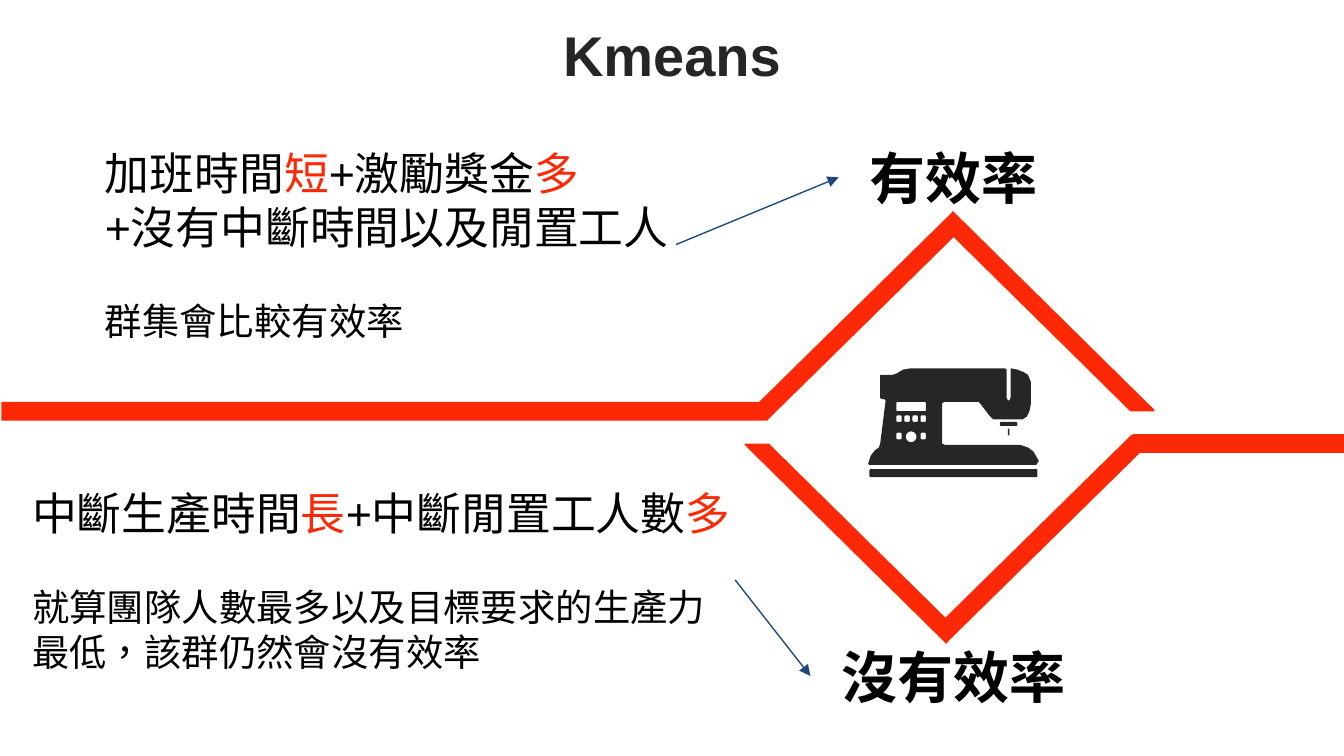
import math

from pptx import Presentation
from pptx import util as u
from pptx.dml.color import RGBColor
from pptx.enum import lang, shapes, text
from pptx.oxml.ns import qn
from lxml import etree

RED = RGBColor(0xFD, 0x29, 0x06)
DARK = RGBColor(0x26, 0x26, 0x26)
BLACK = RGBColor(0, 0, 0)
LABEL = RGBColor(1, 1, 1)
BLUE = RGBColor(0x1F, 0x49, 0x7D)

THICK = 0.14                # thickness of the red bars and arms
TURN_X, TURN_Y = 14.13, 6.36  # twice the centre of the diamond

# Right-hand arm of the upper half, cut level at its lower end
ARM = [(7.09, 1.57), (8.59, 3.05), (8.59, 3.06), (8.41, 3.06), (7, 1.67)]

# Sewing machine outline: head with needle slot, arm, bed and column
MACHINE = [
    (6.78, 2.74), (7.48, 2.74), (7.49, 2.75), (7.49, 2.96), (7.5, 2.98),
    (7.51, 2.98), (7.52, 2.96), (7.52, 2.74), (7.57, 2.75), (7.62, 2.77),
    (7.65, 2.79), (7.67, 2.84), (7.67, 3.01), (7.66, 3.06), (7.64, 3.1),
    (7.61, 3.12), (7.39, 3.12), (7.36, 3.09), (7.33, 3.05), (7.3, 3.01),
    (7.28, 2.99), (7.03, 2.99), (7.01, 3), (7.01, 3.3), (7.03, 3.31),
    (7.59, 3.31), (7.65, 3.33), (7.69, 3.36), (7.73, 3.43), (7.71, 3.46),
    (6.47, 3.46), (6.46, 3.45), (6.48, 3.39), (6.51, 3.35), (6.54, 3.33),
    (6.55, 3.3), (6.59, 2.98), (6.58, 2.97), (6.56, 2.97), (6.55, 2.96),
    (6.55, 2.79), (6.64, 2.79), (6.67, 2.78), (6.72, 2.75),
]


def inches(*values):
    return [u.Inches(v) for v in values]


def paint(sp, color):
    sp.shadow.inherit = False
    sp.fill.solid()
    sp.fill.fore_color.rgb = color
    sp.line.fill.background()


def add_bar(parent, x, y, w, h, rotation=0):
    sp = parent.shapes.add_shape(shapes.MSO_SHAPE.RECTANGLE, *inches(x, y, w, h))
    sp.rotation = rotation
    paint(sp, RED)


def add_outline(parent, contours, color):
    """Fill closed contours as one shape; inner contours become holes."""
    builder = None
    for contour in contours:
        points = [inches(*point) for point in contour]
        if builder is None:
            builder = parent.shapes.build_freeform(*points[0])
        else:
            builder.move_to(*points[0])
        builder.add_line_segments(points[1:], close=True)
    paint(builder.convert_to_shape(), color)


def rounded(x, y, w, h, r, steps=6):
    """Corner points of a rounded rectangle, clockwise from the right."""
    centres = [(x + w - r, y + h - r), (x + r, y + h - r),
               (x + r, y + r), (x + w - r, y + r)]
    points = []
    for corner, (cx, cy) in enumerate(centres):
        for step in range(steps + 1):
            angle = math.pi / 2 * (corner + step / steps)
            points.append((cx + r * math.cos(angle), cy + r * math.sin(angle)))
    return points


def add_half(s, bar_x, bar_w, turned):
    """Bar and two arms; the lower half is the upper one turned by 180°."""
    group = s.shapes.add_group_shape()
    bar_y, arm_x, arm_y, arm_h, arm_turn = 2.99, 6.31, 1.36, 2.02, 45.5
    arm = ARM
    if turned:
        bar_y = TURN_Y - bar_y - THICK
        arm_x, arm_y = TURN_X - arm_x - THICK, TURN_Y - arm_y - arm_h
        arm_turn += 180
        arm = [(TURN_X - x, TURN_Y - y) for x, y in ARM]
    add_bar(group, bar_x, bar_y, bar_w, THICK)
    add_bar(group, arm_x, arm_y, THICK, arm_h, arm_turn)
    add_outline(group, [arm], RED)


def add_machine(s):
    contours = [MACHINE]
    contours.append(rounded(6.47, 3.49, 1.25, 0.06, 0.01))   # base plate
    contours.append(rounded(7.44, 3.14, 0.13, 0.03, 0.01))   # presser foot
    contours.append(rounded(7.5, 3.19, 0.01, 0.05, 0))       # needle
    contours.append(rounded(6.67, 2.99, 0.22, 0.07, 0.01))   # display
    contours.append(rounded(6.74, 3.21, 0.08, 0.08, 0.04))   # dial
    keys = [(6.67 + 0.06 * i, 3.09) for i in range(4)] + [(6.67, 3.22), (6.85, 3.22)]
    contours += [rounded(x, y, 0.04, 0.05, 0.01) for x, y in keys]
    add_outline(s, contours, DARK)


def write(p, content, size=24, color=BLACK, bold=False, align=None,
          before=None, spacing=None,
          language=lang.MSO_LANGUAGE_ID.TRADITIONAL_CHINESE):
    """Write a paragraph; parts between bars are red."""
    p.alignment = align
    p.space_before = before
    p.line_spacing = spacing
    for i, part in enumerate(content.split("|")):
        if part:
            r = p.add_run()
            r.text = part
            r.font.name = "Arial"
            r.font.size = u.Pt(size)
            r.font.bold = bold
            r.font.language_id = language
            r.font.color.rgb = RED if i % 2 else color


def add_text(s, box, paragraphs):
    sp = s.shapes.add_textbox(*inches(*box))
    tf = sp.text_frame
    tf.word_wrap = True
    tf.auto_size = text.MSO_AUTO_SIZE.SHAPE_TO_FIT_TEXT
    tf.vertical_anchor = text.MSO_ANCHOR.MIDDLE
    tf.margin_left = tf.margin_right = u.Inches(0.03)
    tf.margin_top = tf.margin_bottom = 0
    for i, (content, style) in enumerate(paragraphs):
        write(tf.add_paragraph() if i else tf.paragraphs[0], content, **style)
    return sp


def add_arrow(s, start, end):
    """Arrow from the right side of one box to the left side of another."""
    line = s.shapes.add_connector(shapes.MSO_CONNECTOR.STRAIGHT, 0, 0, 0, 0)
    line.begin_connect(start, 3)
    line.end_connect(end, 1)
    line.line.color.rgb = BLUE
    line.line.width = u.Pt(0.75)
    props = line._element.spPr
    etree.SubElement(props.find(qn("a:ln")), qn("a:tailEnd"), type="triangle")
    etree.SubElement(props, qn("a:effectLst"))


def set_title(s, content):
    sp = s.shapes.title
    sp.left, sp.top, sp.width, sp.height = inches(3.69, 0, 2.62, 0.87)
    tf = sp.text_frame
    tf.vertical_anchor = text.MSO_ANCHOR.MIDDLE
    tf.margin_left = tf.margin_right = u.Inches(0.07)
    tf.margin_top = tf.margin_bottom = u.Inches(0.04)
    write(tf.paragraphs[0], content, size=30, color=DARK, bold=True,
          align=text.PP_ALIGN.CENTER, spacing=0.9)


def main():
    prs = Presentation()
    prs.slide_width = u.Inches(10)
    prs.slide_height = u.Inches(10 * 9 / 16)
    s = prs.slides.add_slide(prs.slide_layouts[5])
    set_title(s, "Kmeans")

    # Red diamond with the machine inside
    add_half(s, 0.01, 5.7, turned=False)
    add_half(s, 8.43, 1.57, turned=True)
    add_machine(s)

    # Cluster descriptions
    remark = dict(size=20, before=u.Pt(24))
    good = add_text(s, (0.75, 1.08, 4.28, 1.48), [
        ("加班時間|短|+激勵獎金|多|", {}),
        ("+沒有中斷時間以及閒置工人", {}),
        ("群集會比較有效率", remark)])
    bad = add_text(s, (0.21, 3.61, 5.26, 1.41), [
        ("中斷生產時間|長|+中斷閒置工人數|多|", {}),
        ("就算團隊人數最多以及目標要求的生產力最低，該群仍然會沒有效率", remark)])

    # Outcome labels and the arrows to them
    label = dict(size=30, color=LABEL, bold=True, align=text.PP_ALIGN.CENTER)
    efficient = add_text(s, (6.24, 1.07, 1.71, 0.5), [("有效率", label)])
    inefficient = add_text(s, (6.03, 4.78, 2.13, 0.5), [("沒有效率", label)])
    add_arrow(s, good, efficient)
    add_arrow(s, bad, inefficient)

    prs.save("out.pptx")


if __name__ == "__main__":
    main()
